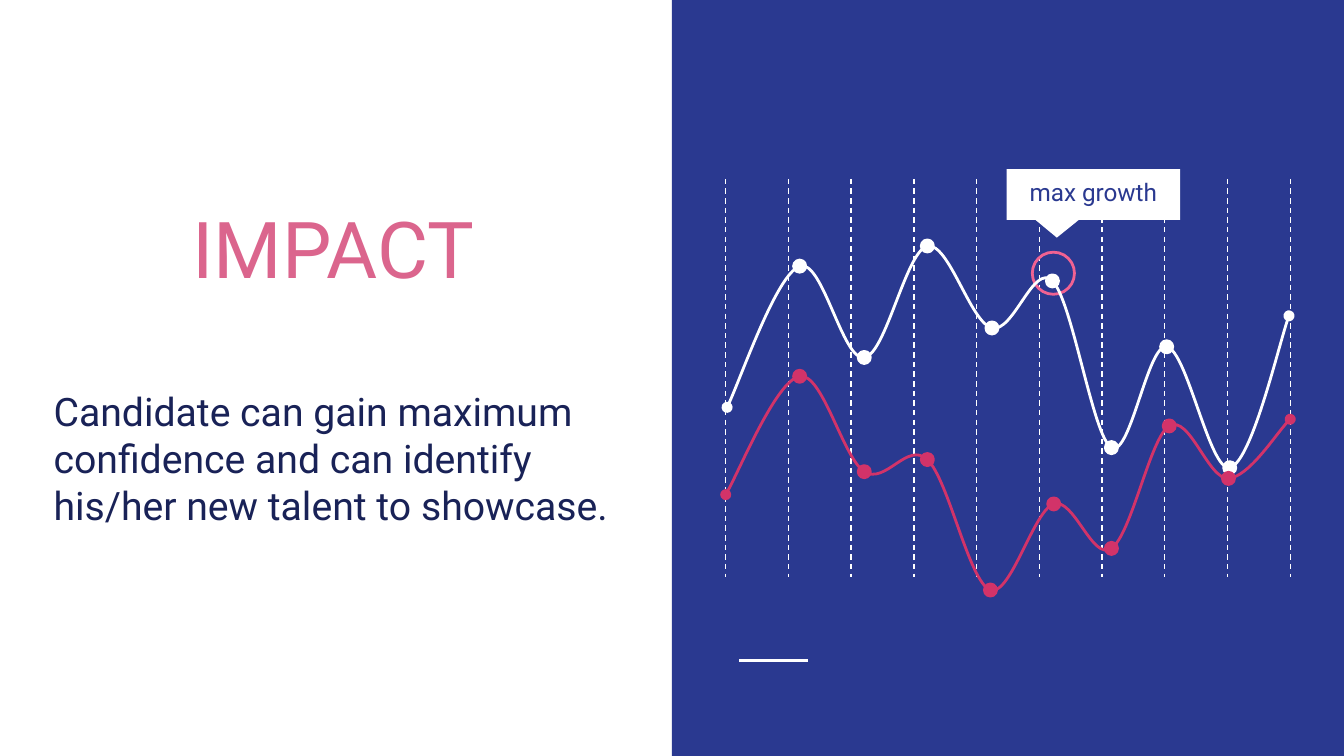
from pptx import Presentation
from pptx.dml.color import RGBColor
from pptx.enum.dml import MSO_LINE
from pptx.enum.shapes import MSO_CONNECTOR, MSO_SHAPE
from pptx.enum.text import MSO_ANCHOR as ANCHOR, PP_ALIGN as ALIGN
from pptx.oxml.ns import qn
from pptx.util import Pt
from lxml.etree import SubElement

COLORS = {
    "white": "FFFFFF", "panel": "2A3990", "title": "DB658D",
    "body": "192257", "ring": "F06292", "red": "D23369",
}
FONT = "Roboto"
MARKER = 6.5

# Each curve: a start point, then (control, control, end) triples.
WHITE_CURVE = (389.5, 218.2), [
    ((396, 205.2), (416.2, 146.9), (428.4, 142.6)),
    ((440.6, 138.2), (451.4, 193.7), (463, 191.5)),
    ((474.5, 190.1), (485.3, 134.6), (496.8, 131.8)),
    ((508.3, 129.6), (519.8, 172.8), (531.4, 175.7)),
    ((542.9, 178.6), (553.7, 140.4), (563.8, 150.5)),
    ((574.6, 161.3), (585.4, 234), (595.4, 239.8)),
    ((605.5, 245.5), (614.9, 183.6), (625, 185.8)),
    ((635.8, 187.2), (648, 252.7), (658.8, 250.6)),
    ((670.3, 247.7), (685.4, 182.9), (690.5, 169.2)),
]
RED_CURVE = (388.8, 265), [
    ((395.3, 254.2), (416.2, 203.8), (428.4, 201.6)),
    ((440.6, 199.4), (451.4, 244.8), (463, 252.7)),
    ((474.5, 259.9), (486, 236.2), (496.8, 246.2)),
    ((508.3, 257), (519.1, 311.8), (530.6, 316.1)),
    ((541.4, 319.7), (553.7, 273.6), (564.5, 270)),
    ((575.3, 266.4), (585.4, 301), (595.4, 293.8)),
    ((606.2, 286.6), (616.3, 234), (626.4, 228.2)),
    ((637.2, 221.8), (647.3, 257), (658.1, 256.3)),
    ((668.9, 255.6), (685.4, 229.7), (691.2, 224.6)),
]


def rgb(name):
    return RGBColor.from_string(COLORS[name])


class SlideBuilder:
    def __init__(self, slide):
        self.shapes = slide.shapes

    def paint(self, sp, fill=None, line=None, width=1.5):
        sp.shadow.inherit = False
        if fill:
            sp.fill.solid()
            sp.fill.fore_color.rgb = rgb(fill)
        else:
            sp.fill.background()
        if line:
            sp.line.color.rgb = rgb(line)
            sp.line.width = Pt(width)
        else:
            sp.line.fill.background()

    def shape(self, kind, x, y, w, h, fill=None, line=None):
        sp = self.shapes.add_shape(kind, Pt(x), Pt(y), Pt(w), Pt(h))
        self.paint(sp, fill, line)
        return sp

    def line(self, x1, y1, x2, y2, width, dash=None):
        c = self.shapes.add_connector(
            MSO_CONNECTOR.STRAIGHT, Pt(x1), Pt(y1), Pt(x2), Pt(y2))
        c.line.color.rgb = rgb("white")
        c.line.width = Pt(width)
        if dash:
            c.line.dash_style = dash
        SubElement(c._element.spPr, qn("a:effectLst"))

    def text(self, text, x, y, w, h, anchor, size, color,
             align=ALIGN.LEFT, spacing=1.0):
        tf = self.shapes.add_textbox(Pt(x), Pt(y), Pt(w), Pt(h)).text_frame
        frame = {"word_wrap": True, "vertical_anchor": anchor}
        frame.update({f"margin_{side}": Pt(7.2)
                      for side in ("left", "top", "right", "bottom")})
        p = tf.paragraphs[0]
        r = p.add_run()
        r.text = text
        for target, values in (
                (tf, frame),
                (p, {"alignment": align, "line_spacing": spacing}),
                (r.font, {"name": FONT, "size": Pt(size)})):
            for name, value in values.items():
                setattr(target, name, value)
        r.font.color.rgb = rgb(color)

    def curve(self, start, segments, color):
        """Draw a Bezier line with oval ends and a dot at each inner knot."""
        knots = [end for *_, end in segments]
        fb = self.shapes.build_freeform(Pt(start[0]), Pt(start[1]))
        fb.add_line_segments([(Pt(x), Pt(y)) for x, y in knots], close=False)
        sp = fb.convert_to_shape()
        self.paint(sp, line=color)
        # Turn the straight segments into cubic ones
        for node, points in zip(list(sp._element.iter(qn("a:lnTo"))), segments):
            node.tag = qn("a:cubicBezTo")
            node.remove(node[0])
            for x, y in points:
                SubElement(node, qn("a:pt"), x=str(Pt(x) - sp.left),
                           y=str(Pt(y) - sp.top))
        ln = sp.line._get_or_add_ln()
        for end in ("a:headEnd", "a:tailEnd"):
            SubElement(ln, qn(end), type="oval", w="med", len="med")
        for x, y in knots[:-1]:
            self.shape(MSO_SHAPE.OVAL, x - MARKER / 2, y - MARKER / 2,
                       MARKER, MARKER, color, color)


def main():
    prs = Presentation()
    prs.slide_width, prs.slide_height = Pt(720), Pt(405)
    s = SlideBuilder(prs.slides.add_slide(prs.slide_layouts[6]))

    s.shape(MSO_SHAPE.RECTANGLE, 360, 0, 360, 405, "panel")
    s.line(396, 354, 432.7, 354, 1.5)
    for i in range(10):
        x = 388.8 + 33.6 * i
        s.line(x, 95.8, x, 308.9, 0.75, MSO_LINE.DASH)

    s.shape(MSO_SHAPE.OVAL, 553, 135.1, 22.6, 22.6, line="ring")
    s.text("IMPACT", 19.4, 61.2, 318.2, 103.7, ANCHOR.BOTTOM, 42, "title",
           ALIGN.CENTER)
    s.text("Candidate can gain maximum confidence and can identify "
           "his/her new talent to showcase.",
           21.6, 200.2, 318.2, 100, ANCHOR.TOP, 21, "body")

    s.curve(*WHITE_CURVE, "white")
    callout = s.shape(MSO_SHAPE.ROUNDED_RECTANGULAR_CALLOUT,
                      539.2, 90.6, 93, 27.2, "white")
    for i, value in enumerate((-0.21, 0.85, 0)):
        callout.adjustments[i] = value
    s.curve(*RED_CURVE, "red")
    s.text("max growth", 539.2, 90.6, 93, 22.4, ANCHOR.MIDDLE, 13, "panel",
           ALIGN.CENTER, 1.15)

    prs.save("out.pptx")


if __name__ == "__main__":
    main()
